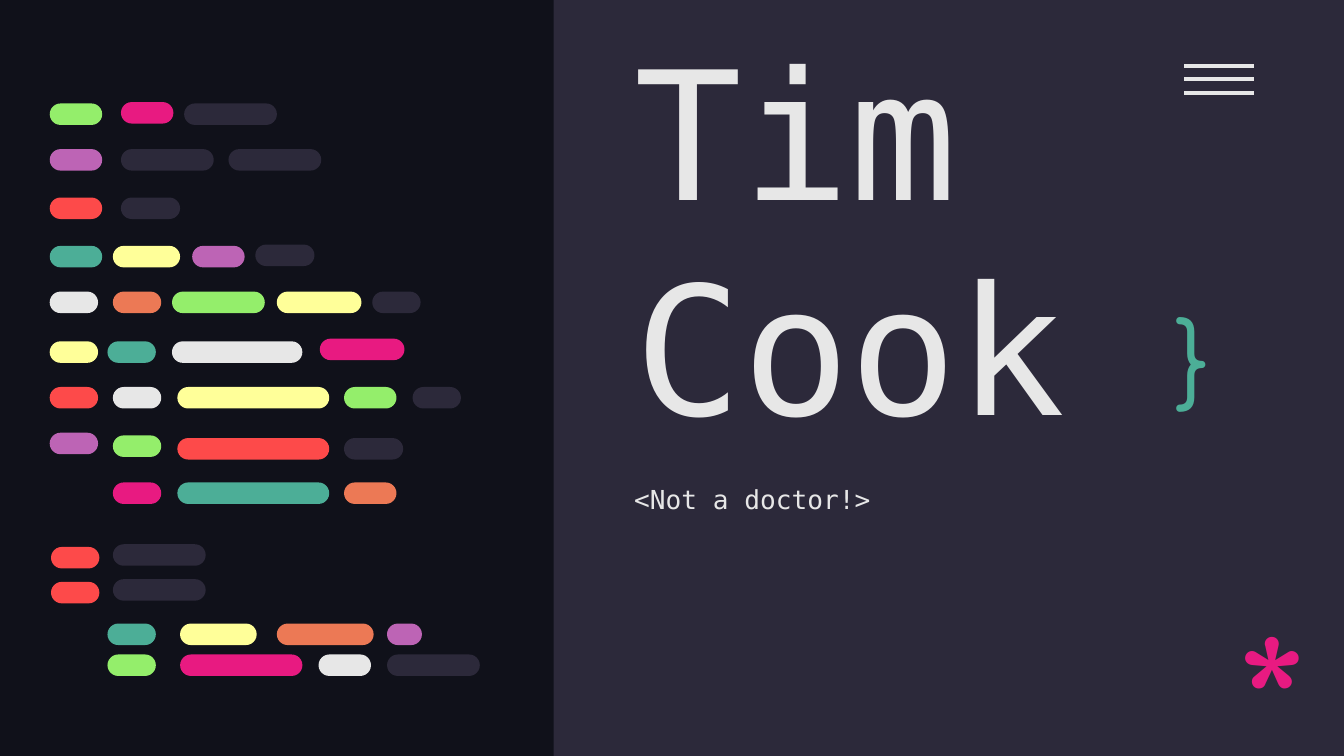
import pptx
import pptx.util
import pptx.dml.color
import pptx.enum.shapes
import pptx.enum.text
import pptx.oxml.ns
from lxml import etree

Inches = pptx.util.Inches
SHAPE = pptx.enum.shapes.MSO_SHAPE
ANCHOR = pptx.enum.text.MSO_ANCHOR

THEME = {
    "night": "10111A", "slate": "2C293A", "white": "E7E7E7",
    "green": "94EE6B", "pink": "E81A81", "purple": "BD64B5", "red": "FD4A4A",
    "teal": "4CAE97", "yellow": "FFFF99", "orange": "EC7955",
    "mono": "DejaVu Sans Mono", "round": "Comfortaa",
    "display": 96, "brace": 50, "body": 14, "rule": 2.25,
}

SLIDE_WIDTH = 10
SLIDE_HEIGHT = SLIDE_WIDTH * 9 / 16
PANEL_LEFT = 4.12

PILL_HEIGHT = 0.16
PILL_ROWS = [
    (0.76, [(0.9, 0.39, "pink")]),
    (0.77, [(0.37, 0.39, "green"), (1.37, 0.69, "slate")]),
    (1.11, [(0.37, 0.39, "purple"), (0.9, 0.69, "slate"), (1.7, 0.69, "slate")]),
    (1.47, [(0.37, 0.39, "red"), (0.9, 0.44, "slate")]),
    (1.82, [(1.9, 0.44, "slate")]),
    (1.83, [(0.37, 0.39, "teal"), (0.84, 0.5, "yellow"), (1.43, 0.39, "purple")]),
    (2.17, [(0.37, 0.36, "white"), (0.84, 0.36, "orange"), (1.28, 0.69, "green"),
            (2.06, 0.63, "yellow"), (2.77, 0.36, "slate")]),
    (2.52, [(2.38, 0.63, "pink")]),
    (2.54, [(0.37, 0.36, "yellow"), (0.8, 0.36, "teal"), (1.28, 0.97, "white")]),
    (2.88, [(0.37, 0.36, "red"), (0.84, 0.36, "white"), (1.32, 1.13, "yellow"),
            (2.56, 0.39, "green"), (3.07, 0.36, "slate")]),
    (3.22, [(0.37, 0.36, "purple")]),
    (3.24, [(0.84, 0.36, "green")]),
    (3.26, [(1.32, 1.13, "red"), (2.56, 0.44, "slate")]),
    (3.59, [(0.84, 0.36, "pink"), (1.32, 1.13, "teal"), (2.56, 0.39, "orange")]),
    (4.05, [(0.84, 0.69, "slate")]),
    (4.07, [(0.38, 0.36, "red")]),
    (4.31, [(0.84, 0.69, "slate")]),
    (4.33, [(0.38, 0.36, "red")]),
    (4.64, [(0.8, 0.36, "teal"), (1.34, 0.57, "yellow"), (2.06, 0.72, "orange"),
            (2.88, 0.26, "purple")]),
    (4.87, [(0.8, 0.36, "green"), (1.34, 0.91, "pink"), (2.37, 0.39, "white"),
            (2.88, 0.69, "slate")]),
]

TEXTS = [
    ("Tim Cook", dict(at=(4.62, 1.31, 4.6, 2.15), size="display", font="mono",
                      color="white", anchor=ANCHOR.BOTTOM)),
    ("<Not a doctor!>", dict(at=(4.62, 3.46, 4.6, 1.17), size="body", font="mono",
                             color="white", spacing=1.15, fill="slate")),
    ("*", dict(at=(9.11, 4.35, 0.57, 0.87), size="display", font="round", color="pink")),
    ("}", dict(at=(8.65, 2.11, 0.57, 0.95), size="brace", font="round", color="teal")),
]

MENU = {"left": 8.81, "right": 9.33, "top": 0.49, "gap": 0.1, "count": 3}


def rgb(name):
    return pptx.dml.color.RGBColor.from_string(THEME[name])


def add_block(s, kind, at, fill):
    sp = s.shapes.add_shape(kind, *map(Inches, at))
    sp.shadow.inherit = False
    sp.fill.solid()
    sp.fill.fore_color.rgb = rgb(fill)
    sp.line.fill.background()
    return sp


def add_text(s, text, *, at, size, font, color, anchor=ANCHOR.TOP, spacing=None, fill=None):
    sp = s.shapes.add_textbox(*map(Inches, at))
    if fill:
        sp.fill.solid()
        sp.fill.fore_color.rgb = rgb(fill)
    tf = sp.text_frame
    tf.word_wrap = True
    tf.vertical_anchor = anchor
    tf.margin_left = tf.margin_right = tf.margin_top = tf.margin_bottom = Inches(0.1)
    p = tf.paragraphs[0]
    if spacing:
        p.line_spacing = spacing
    r = p.add_run()
    r.text = text
    r.font.size = pptx.util.Pt(THEME[size])
    r.font.name = THEME[font]
    r.font.color.rgb = rgb(color)


def add_menu(s):
    for i in range(MENU["count"]):
        y = Inches(MENU["top"] + i * MENU["gap"])
        line = s.shapes.add_connector(pptx.enum.shapes.MSO_CONNECTOR.STRAIGHT,
                                      Inches(MENU["left"]), y, Inches(MENU["right"]), y)
        line.line.color.rgb = rgb("white")
        line.line.width = pptx.util.Pt(THEME["rule"])
        etree.SubElement(line._element.spPr, pptx.oxml.ns.qn("a:effectLst"))


def main():
    prs = pptx.Presentation()
    prs.slide_width, prs.slide_height = Inches(SLIDE_WIDTH), Inches(SLIDE_HEIGHT)
    s = prs.slides.add_slide(prs.slide_layouts[6])
    s.background.fill.solid()
    s.background.fill.fore_color.rgb = rgb("night")

    panel = (PANEL_LEFT, 0, SLIDE_WIDTH - PANEL_LEFT, SLIDE_HEIGHT)
    add_block(s, SHAPE.RECTANGLE, panel, "slate")
    add_menu(s)
    for text, style in TEXTS:
        add_text(s, text, **style)
    for y, pills in PILL_ROWS:
        for x, width, color in pills:
            sp = add_block(s, SHAPE.ROUNDED_RECTANGLE, (x, y, width, PILL_HEIGHT), color)
            sp.adjustments[0] = 0.5
    prs.save("out.pptx")


if __name__ == "__main__":
    main()
